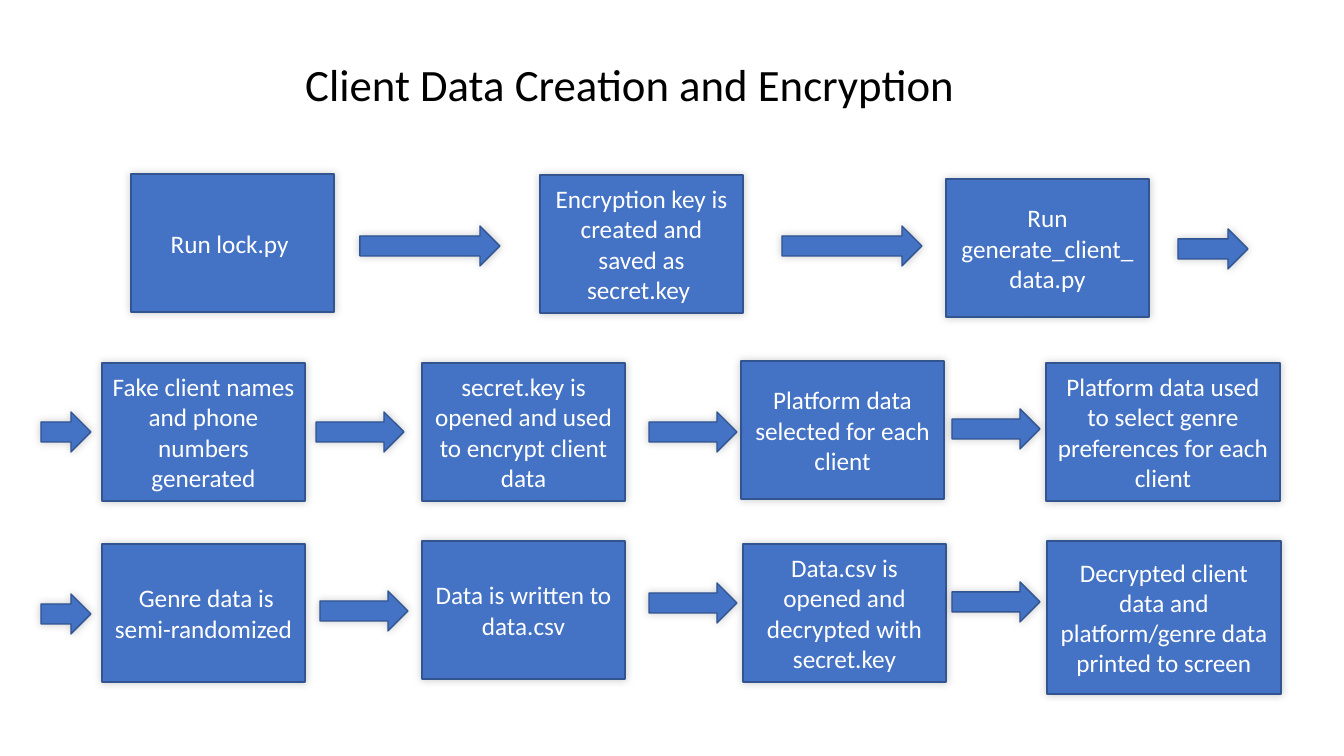
import dataclasses

import lxml.etree
import pptx
import pptx.dml.color
import pptx.enum.shapes
import pptx.enum.text
import pptx.oxml.ns
import pptx.util

EMU_PER_PX = 914400 / 100.8
BOX_WIDTH, BOX_HEIGHT = 203, 138
WIDE_BOX_WIDTH, TALL_BOX_HEIGHT = 234, 153
ARROW_HEIGHT = 40


@dataclasses.dataclass(frozen=True)
class Theme:
    fill: str = "4472C4"
    outline: str = "325491"
    box_text: str = "FFFFFF"
    title_text: str = "000000"
    shadow: str = "000000"
    font: str = "Calibri"
    title_size: int = 32
    box_size: int = 18


THEME = Theme()

STEPS = [
    ("Run lock.py ", 131, 174, BOX_WIDTH, BOX_HEIGHT),
    ("Encryption key is created and saved as secret.key ", 540, 175, BOX_WIDTH, BOX_HEIGHT),
    ("Run generate_client_data.py", 946, 179, BOX_WIDTH, BOX_HEIGHT),
    ("Fake client names and phone numbers generated", 102, 363, BOX_WIDTH, BOX_HEIGHT),
    ("secret.key is opened and used to encrypt client data", 422, 363, BOX_WIDTH, BOX_HEIGHT),
    ("Platform data selected for each client", 741, 361, BOX_WIDTH, BOX_HEIGHT),
    ("Platform data used to select genre preferences for each client",
     1046, 363, WIDE_BOX_WIDTH, BOX_HEIGHT),
    (" Genre data is semi-randomized", 102, 544, BOX_WIDTH, BOX_HEIGHT),
    ("Data is written to data.csv", 422, 541, BOX_WIDTH, BOX_HEIGHT),
    ("Data.csv is opened and decrypted with secret.key", 743, 544, BOX_WIDTH, BOX_HEIGHT),
    ("Decrypted client data and platform/genre data printed to screen",
     1047, 541, WIDE_BOX_WIDTH, TALL_BOX_HEIGHT),
]

ARROWS = [
    (360, 226, 140), (782, 226, 140), (1178, 229, 70),
    (41, 412, 50), (316, 412, 88), (649, 412, 88), (952, 409, 88),
    (41, 594, 50), (320, 591, 88), (649, 583, 88), (952, 582, 88),
]


def px(length):
    return pptx.util.Emu(round(length * EMU_PER_PX))


def rgb(value):
    return pptx.dml.color.RGBColor.from_string(value)


def add_soft_shadow(shape):
    shape.shadow.inherit = False
    qn = pptx.oxml.ns.qn
    effects = shape.element.spPr.find(qn("a:effectLst"))
    shadow = lxml.etree.SubElement(
        effects, qn("a:outerShdw"),
        blurRad=str(pptx.util.Pt(6)), dist="0", dir="18900000", rotWithShape="0")
    color = lxml.etree.SubElement(shadow, qn("a:srgbClr"), val=THEME.shadow)
    lxml.etree.SubElement(color, qn("a:alpha"), val="20000")


def add_flow_shape(slide, kind, left, top, width, height):
    shape = slide.shapes.add_shape(kind, px(left), px(top), px(width), px(height))
    shape.fill.solid()
    shape.fill.fore_color.rgb = rgb(THEME.fill)
    shape.line.color.rgb = rgb(THEME.outline)
    shape.line.width = pptx.util.Pt(1)
    add_soft_shadow(shape)
    return shape


def write_centred(shape, text, size, color):
    shape.text_frame.word_wrap = True
    paragraph = shape.text_frame.paragraphs[0]
    paragraph.alignment = pptx.enum.text.PP_ALIGN.CENTER
    run = paragraph.add_run()
    run.text = text
    run.font.name = THEME.font
    run.font.size = pptx.util.Pt(size)
    run.font.color.rgb = rgb(color)


def add_title(slide, text, left, top, width, height):
    title = slide.shapes.add_textbox(px(left), px(top), px(width), px(height))
    write_centred(title, text, THEME.title_size, THEME.title_text)
    title.text_frame.auto_size = pptx.enum.text.MSO_AUTO_SIZE.SHAPE_TO_FIT_TEXT


def add_step(slide, text, left, top, width, height):
    kind = pptx.enum.shapes.MSO_SHAPE.FLOWCHART_PROCESS
    box = add_flow_shape(slide, kind, left, top, width, height)
    box.text_frame.vertical_anchor = pptx.enum.text.MSO_ANCHOR.MIDDLE
    write_centred(box, text, THEME.box_size, THEME.box_text)


def add_arrow(slide, left, top, width):
    kind = pptx.enum.shapes.MSO_SHAPE.RIGHT_ARROW
    add_flow_shape(slide, kind, left, top, width, ARROW_HEIGHT)


def main():
    presentation = pptx.Presentation()
    presentation.slide_width = px(1344)
    presentation.slide_height = px(756)
    slide = presentation.slides.add_slide(presentation.slide_layouts[6])
    add_title(slide, "Client Data Creation and Encryption", 91, 52, 1078, 64)
    for step in STEPS:
        add_step(slide, *step)
    for arrow in ARROWS:
        add_arrow(slide, *arrow)
    presentation.save("out.pptx")


if __name__ == "__main__":
    main()
